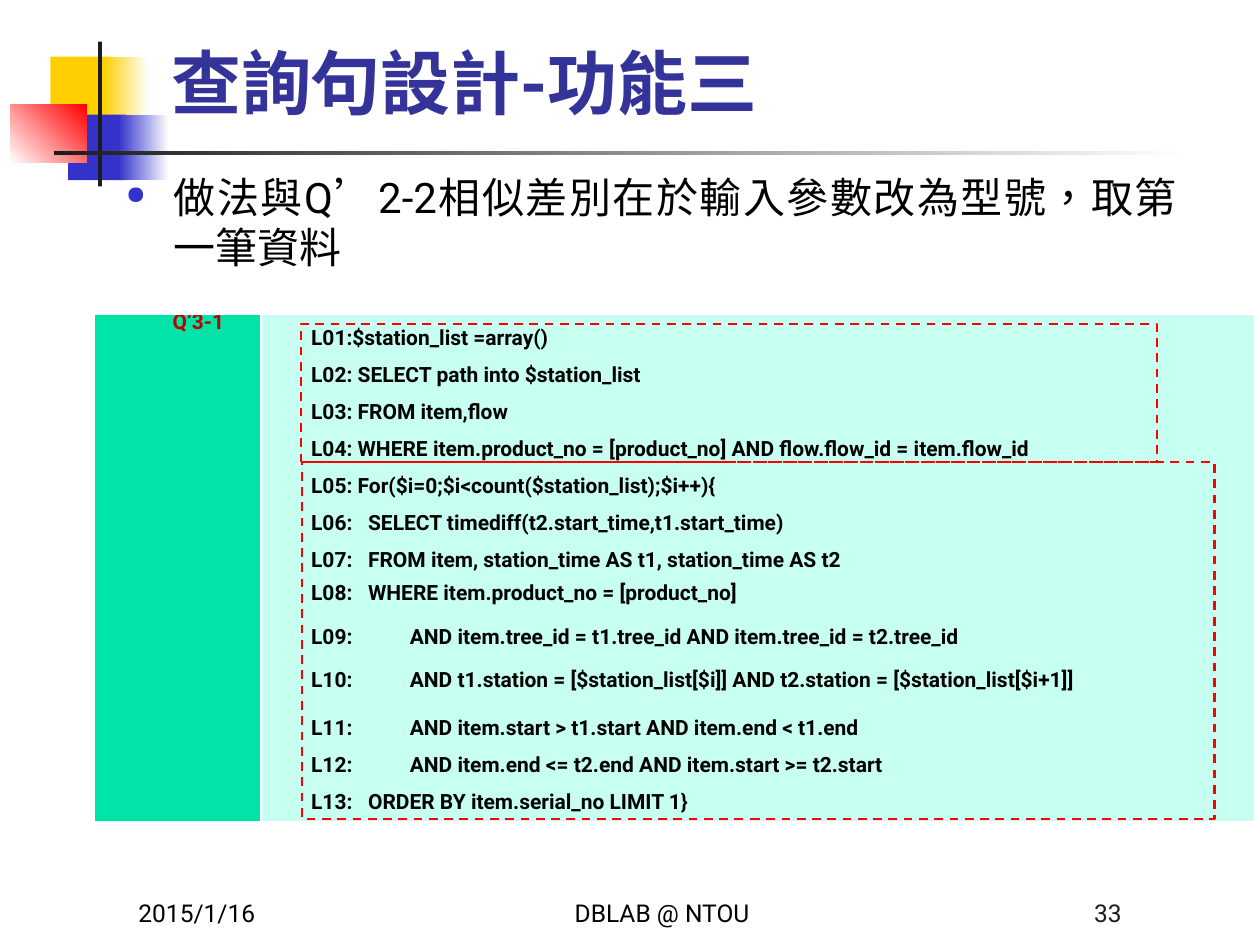
"""Builds the query design slide with its code table and dashed frames."""
from lxml.etree import SubElement
from pptx import Presentation
from pptx.dml.color import RGBColor
from pptx.enum.dml import MSO_LINE
from pptx.enum.lang import MSO_LANGUAGE_ID as Language
from pptx.enum.shapes import MSO_SHAPE as Shape
from pptx.enum.text import MSO_ANCHOR as Anchor, PP_ALIGN as Align
from pptx.oxml.ns import qn
from pptx.util import Inches, Pt

FONT = "Roboto"
COLORS = {
    "yellow": "FFCF01", "blue": "3333CC", "red": "FF0000", "white": "FFFFFF",
    "ink": "1C1C1C", "title": "333399", "black": "000000", "label": "C00000",
    "green": "00E4A8", "mint": "C7FFF0",
}
ORNAMENTS = [
    ((0.4, 0.45, 0.48, 0.52), ["yellow"], 0),
    ((0.82, 0.45, 0.36, 0.52), ["yellow", "white"], 0),
    ((0.54, 0.91, 0.46, 0.52), ["blue"], 0),
    ((0.94, 0.91, 0.4, 0.52), ["blue", "white"], 0),
    ((0.08, 0.83, 0.61, 0.46), ["white", "red"], 45),
    ((0.78, 0.33, 0.03, 1.15), ["ink"], 0),
    ((0.43, 1.2, 9, 0.03), ["ink", "white"], 0),
]
FOOTERS = [
    ((1, 6.91, 2.08, 0.5), "2015/1/16", Align.LEFT, "black"),
    ((3.67, 6.91, 3.17, 0.5), "DBLAB @ NTOU", Align.CENTER, "black"),
    ((6.92, 6.91, 2.08, 0.5), "33", Align.RIGHT, "ink"),
]
FRAMES = [(2.39, 2.57, 6.79, 1.1), (2.4, 3.67, 7.24, 2.83)]
CODE = [
    "L01:$station_list =array()",
    "L02: SELECT path into $station_list",
    "L03: FROM item,flow",
    "L04: WHERE item.product_no = [product_no] AND flow.flow_id = item.flow_id",
    "L05: For($i=0;$i<count($station_list);$i++){",
    "L06:   SELECT timediff(t2.start_time,t1.start_time)",
    "L07:   FROM item, station_time AS t1, station_time AS t2",
    "L08:   WHERE item.product_no = [product_no]",
    "L09:           AND item.tree_id = t1.tree_id AND item.tree_id = t2.tree_id",
    "L10:           AND t1.station = [$station_list[$i]] AND t2.station = [$station_list[$i+1]]",
    "L11:           AND item.start > t1.start AND item.end < t1.end",
    "L12:           AND item.end <= t2.end AND item.start >= t2.start",
    "L13:   ORDER BY item.serial_no LIMIT 1}",
]
TIGHT_LINES = range(7, 10)


def color(name):
    """Return the named colour."""
    return RGBColor.from_string(COLORS[name])


def write(paragraph, text, size=12, ink="black", bold=False, align=Align.LEFT,
          spacing=None, gap=None, margin=0, indent=0, language=None):
    """Fill a paragraph with one formatted run."""
    properties = paragraph._p.get_or_add_pPr()
    properties.set("marL", str(Inches(margin)))
    properties.set("indent", str(Inches(indent)))
    paragraph.alignment = align
    if spacing is not None:
        paragraph.line_spacing = spacing
    if gap is not None:
        paragraph.space_before = paragraph.space_after = Pt(gap)
    run = paragraph.add_run()
    run.text = text
    font = run.font
    font.name, font.size, font.bold = FONT, Pt(size), bold
    font.color.rgb = color(ink)
    if language:
        font.language_id = language


def add_bullet(paragraph):
    """Give a paragraph a small blue round bullet."""
    properties = paragraph._p.get_or_add_pPr()
    bullet_color = SubElement(properties, qn("a:buClr"))
    SubElement(bullet_color, qn("a:srgbClr"), val=COLORS["blue"])
    SubElement(properties, qn("a:buSzPct"), val="60000")
    SubElement(properties, qn("a:buChar"), char="●")


def add_text(slide, box, text, anchor=Anchor.BOTTOM, bullet=False, **style):
    """Add a wrapped text box with one paragraph."""
    frame = slide.shapes.add_textbox(*map(Inches, box)).text_frame
    frame.word_wrap = True
    frame.vertical_anchor = anchor
    paragraph = frame.paragraphs[0]
    if bullet:
        add_bullet(paragraph)
    write(paragraph, text, **style)


def add_rectangle(slide, box):
    """Add a rectangle without shadow."""
    shape = slide.shapes.add_shape(Shape.RECTANGLE, *map(Inches, box))
    shape.shadow.inherit = False
    return shape


def add_ornament(slide, box, inks, angle):
    """Add a borderless block in one colour or a two-colour gradient."""
    shape = add_rectangle(slide, box)
    shape.line.fill.background()
    if len(inks) == 1:
        shape.fill.solid()
        shape.fill.fore_color.rgb = color(inks[0])
        return
    shape.fill.gradient()
    shape.fill.gradient_angle = angle
    for stop, ink in zip(shape.fill.gradient_stops, inks):
        stop.color.rgb = color(ink)


def add_frame(slide, box):
    """Add a dashed red outline."""
    shape = add_rectangle(slide, box)
    shape.fill.background()
    shape.line.color.rgb = color("red")
    shape.line.width = Pt(1.25)
    shape.line.dash_style = MSO_LINE.DASH


def style_cell(cell, fill):
    """Set margins, white borders and fill of a cell."""
    cell.margin_left = cell.margin_right = Inches(0.07)
    cell.margin_top = cell.margin_bottom = 0
    properties = cell._tc.get_or_add_tcPr()
    for side, width in (("L", 1), ("R", 1), ("T", 1), ("B", 3)):
        border = SubElement(properties, qn(f"a:ln{side}"), w=str(Pt(width)))
        solid = SubElement(border, qn("a:solidFill"))
        SubElement(solid, qn("a:srgbClr"), val=COLORS["white"])
    cell.fill.solid()
    cell.fill.fore_color.rgb = color(fill)


def add_code_table(slide):
    """Add the table with the query label and its code lines."""
    box = map(Inches, (0.75, 2.49, 9.21, 3.94))
    table = slide.shapes.add_table(1, 2, *box).table
    table.first_row = table.horz_banding = False
    for column, width in zip(table.columns, (1.32, 7.89)):
        column.width = Inches(width)
    label, code = table.cell(0, 0), table.cell(0, 1)
    style_cell(label, "green")
    style_cell(code, "mint")
    write(label.text_frame.paragraphs[0], "Q’3-1", ink="label", bold=True,
          align=Align.CENTER, spacing=Pt(12), gap=6, indent=0.33)
    frame = code.text_frame
    for index, line in enumerate(CODE):
        paragraph = frame.add_paragraph() if index else frame.paragraphs[0]
        tight = index in TIGHT_LINES
        write(paragraph, line, bold=True, indent=0.33,
              spacing=Pt(13) if tight else 1.5, gap=6 if tight else None)


def main():
    """Build and save the slide."""
    presentation = Presentation()
    presentation.slide_width, presentation.slide_height = Inches(10), Inches(7.5)
    slide = presentation.slides.add_slide(presentation.slide_layouts[6])
    for box, inks, angle in ORNAMENTS:
        add_ornament(slide, box, inks, angle)
    add_text(slide, (1.26, 0.17, 8.52, 0.86), "查詢句設計-功能三", size=40,
             ink="title", bold=True, language=Language.TRADITIONAL_CHINESE)
    for box, text, align, ink in FOOTERS:
        add_text(slide, box, text, size=14, align=align, ink=ink)
    add_text(slide, (0.9, 1.31, 8.54, 1), "做法與Q’2-2相似差別在於輸入參數改為型號，取第一筆資料",
             anchor=Anchor.TOP, bullet=True, size=24, align=Align.JUSTIFY,
             margin=0.38, indent=-0.38, language=Language.TRADITIONAL_CHINESE)
    add_code_table(slide)
    for box in FRAMES:
        add_frame(slide, box)
    presentation.save("out.pptx")


if __name__ == "__main__":
    main()
